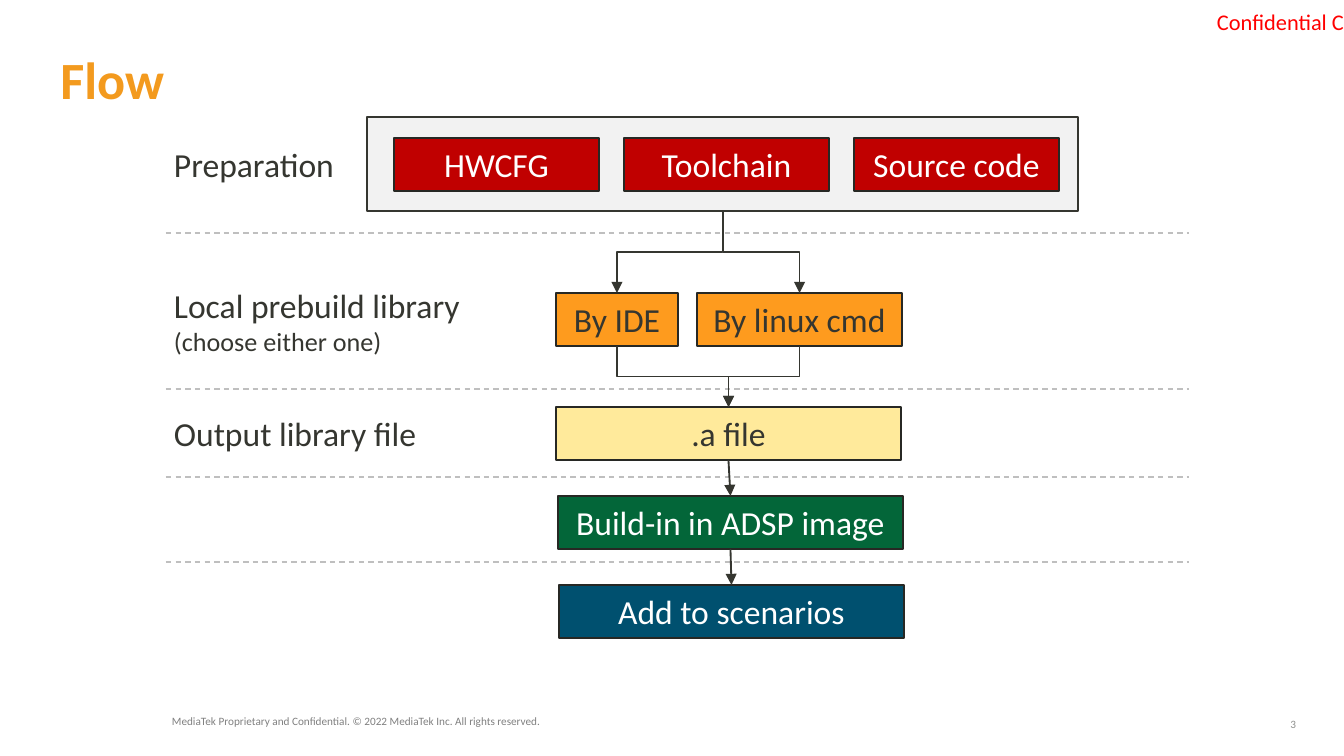
from dataclasses import dataclass

from lxml import etree
from pptx import Presentation
from pptx.dml.color import RGBColor
from pptx.enum.dml import MSO_LINE
from pptx.enum.shapes import MSO_CONNECTOR, MSO_SHAPE
from pptx.enum.text import MSO_ANCHOR, PP_ALIGN
from pptx.oxml.ns import qn
from pptx.util import Emu, Pt

LEFT, CENTER, RIGHT = PP_ALIGN.LEFT, PP_ALIGN.CENTER, PP_ALIGN.RIGHT
TOP, MIDDLE = MSO_ANCHOR.TOP, MSO_ANCHOR.MIDDLE
STRAIGHT, ELBOW = MSO_CONNECTOR.STRAIGHT, MSO_CONNECTOR.ELBOW
RECT, DASH = MSO_SHAPE.RECTANGLE, MSO_LINE.DASH
BOTTOM_SIDE, TOP_SIDE = 2, 0
PX_PER_INCH = 134.4


@dataclass(frozen=True)
class Theme:
    font: str = "Calibri"
    ink: str = "353630"
    border: str = "272824"
    white: str = "FFFFFF"
    title: str = "F39A1E"
    panel: str = "F2F2F2"
    divider: str = "BFBFBF"
    red: str = "C00000"
    orange: str = "FE9B1E"
    yellow: str = "FFEA9B"
    green: str = "036639"
    blue: str = "00506F"
    mark: str = "FF0000"
    footer: str = "808080"
    number: str = "90918F"
    title_size: int = 28
    body_size: int = 18
    note_size: int = 14
    mark_size: int = 12
    small_size: int = 6


T = Theme()


def px(n):
    return Emu(round(n * 914400 / PX_PER_INCH))


def rgb(value):
    return RGBColor.from_string(value)


def add_run(p, text, size, color, bold=False):
    r = p.add_run()
    r.text = text
    r.font.name = T.font
    r.font.size = Pt(size)
    r.font.bold = bold
    r.font.color.rgb = rgb(color)


def add_title(s, text, x, y, w, h):
    sp = s.shapes.title
    sp.left, sp.top, sp.width, sp.height = px(x), px(y), px(w), px(h)
    tf = sp.text_frame
    tf.vertical_anchor = MIDDLE
    p = tf.paragraphs[0]
    p.alignment = LEFT
    add_run(p, text, T.title_size, T.title, bold=True)


def add_text(s, lines, x, y, w, h, color=T.ink, align=LEFT, anchor=TOP, wrap=False):
    """Text box without insets; lines are (text, size) pairs."""
    tf = s.shapes.add_textbox(px(x), px(y), px(w), px(h)).text_frame
    tf.margin_left = tf.margin_top = tf.margin_right = tf.margin_bottom = 0
    tf.word_wrap = wrap
    tf.vertical_anchor = anchor
    for i, (text, size) in enumerate(lines):
        p = tf.add_paragraph() if i else tf.paragraphs[0]
        p.alignment = align
        add_run(p, text, size, color)


def add_box(s, x, y, w, h, fill, text="", color=T.white, border=T.border):
    sp = s.shapes.add_shape(RECT, px(x), px(y), px(w), px(h))
    sp.shadow.inherit = False
    sp.fill.solid()
    sp.fill.fore_color.rgb = rgb(fill)
    sp.line.color.rgb = rgb(border)
    sp.line.width = Pt(1)
    if text:
        tf = sp.text_frame
        tf.word_wrap = True
        tf.vertical_anchor = MIDDLE
        p = tf.paragraphs[0]
        p.alignment = CENTER
        add_run(p, text, T.body_size, color)
    return sp


def add_line(s, kind, x1, y1, x2, y2, color, width):
    c = s.shapes.add_connector(kind, x1, y1, x2, y2)
    c.line.color.rgb = rgb(color)
    c.line.width = Pt(width)
    etree.SubElement(c._element.spPr, qn("a:effectLst"))
    return c


def add_head(c):
    etree.SubElement(c.line._get_or_add_ln(), qn("a:tailEnd"), type="triangle")


def add_divider(s, y):
    c = add_line(s, STRAIGHT, px(166), px(y), px(1189), px(y), T.divider, 0.75)
    c.line.dash_style = DASH


def add_elbow(s, start, end):
    """Arrow from a bottom side to a top side, turned to leave downwards."""
    x1, y1 = start.left + start.width // 2, start.top + start.height
    x2, y2 = end.left + end.width // 2, end.top
    length, span = y2 - y1, abs(x2 - x1)
    left = (x1 + x2 - length) // 2
    top = (y1 + y2 - span) // 2
    c = add_line(s, ELBOW, left, top, left + length, top + span, T.ink, 1)
    if x2 < x1:
        c.rotation = 90 if hasattr(c, "rotation") else None
    xfrm = c._element.spPr.find(qn("a:xfrm"))
    xfrm.set("rot", str((90 if x2 < x1 else 270) * 60000))
    if x2 >= x1:
        xfrm.set("flipH", "1")
    add_head(c)


def add_arrow(s, start, end):
    c = add_line(s, STRAIGHT, 0, 0, 0, 0, T.ink, 1)
    c.begin_connect(start, BOTTOM_SIDE)
    c.end_connect(end, TOP_SIDE)
    add_head(c)


def main():
    prs = Presentation()
    prs.slide_width, prs.slide_height = px(1344), px(756)
    s = prs.slides.add_slide(prs.slide_layouts[5])

    # Title, confidentiality mark and footer
    add_title(s, "Flow", 47, 26, 1208, 106)
    add_text(s, [("Confidential C", T.mark_size)], 1169, 0, 175 - 24 + 24, 43,
             T.mark, RIGHT, MIDDLE, True)
    add_text(s, [("MediaTek Proprietary and Confidential. © 2022 MediaTek Inc. "
                  "All rights reserved.", T.small_size)],
             172, 714, 754, 27, T.footer, wrap=True)
    add_text(s, [("3", T.small_size)], 1255, 716, 41, 16,
             T.number, RIGHT, MIDDLE, True)

    # Dividers between the stages
    for y in (233, 389, 477, 562):
        add_divider(s, y)

    # Stage names
    add_text(s, [("Preparation", T.body_size)], 174, 144, 175, 43)
    add_text(s, [("Local prebuild library", T.body_size),
                 ("(choose either one)", T.note_size)], 174, 285, 305, 81)
    add_text(s, [("Output library file", T.body_size)], 174, 413, 305, 43)

    # Preparation
    panel = add_box(s, 367, 117, 711, 94, T.panel, border=T.ink)
    for i, text in enumerate(("HWCFG", "Toolchain", "Source code")):
        add_box(s, 394 + 230 * i, 138, 205, 53, T.red, text)

    # Two ways to build, then the steps that follow
    ways = [add_box(s, x, 293, w, 53, T.orange, text, T.ink)
            for x, w, text in ((556, 122, "By IDE"), (697, 205, "By linux cmd"))]
    steps = [add_box(s, x, y, 345, 53, fill, text, color)
             for x, y, fill, text, color in (
                 (556, 407, T.yellow, ".a file", T.ink),
                 (558, 496, T.green, "Build-in in ADSP image", T.white),
                 (559, 585, T.blue, "Add to scenarios", T.white))]

    # Arrows
    for way in ways:
        add_elbow(s, panel, way)
        add_elbow(s, way, steps[0])
    for start, end in zip(steps, steps[1:]):
        add_arrow(s, start, end)

    prs.save("out.pptx")


if __name__ == "__main__":
    main()
